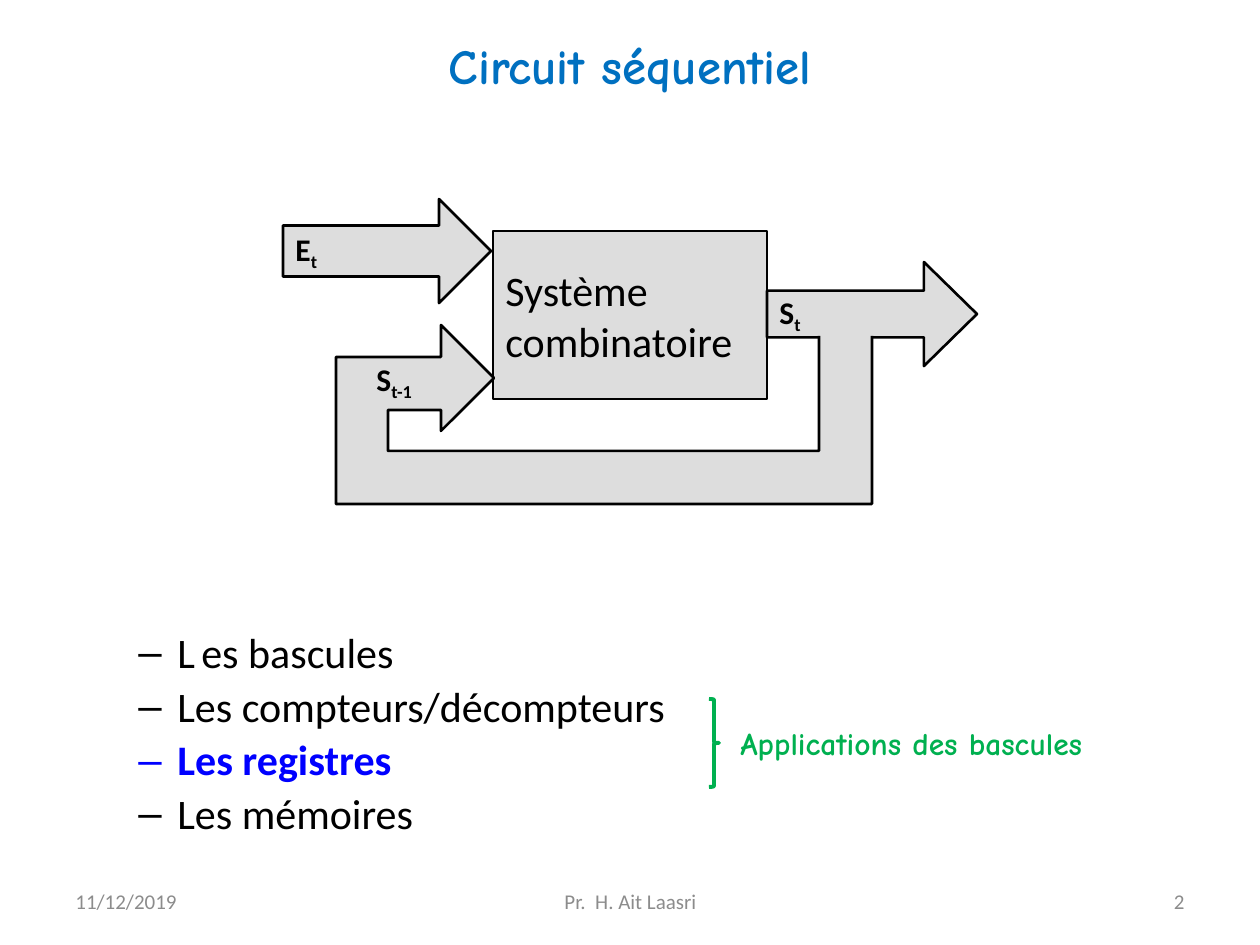
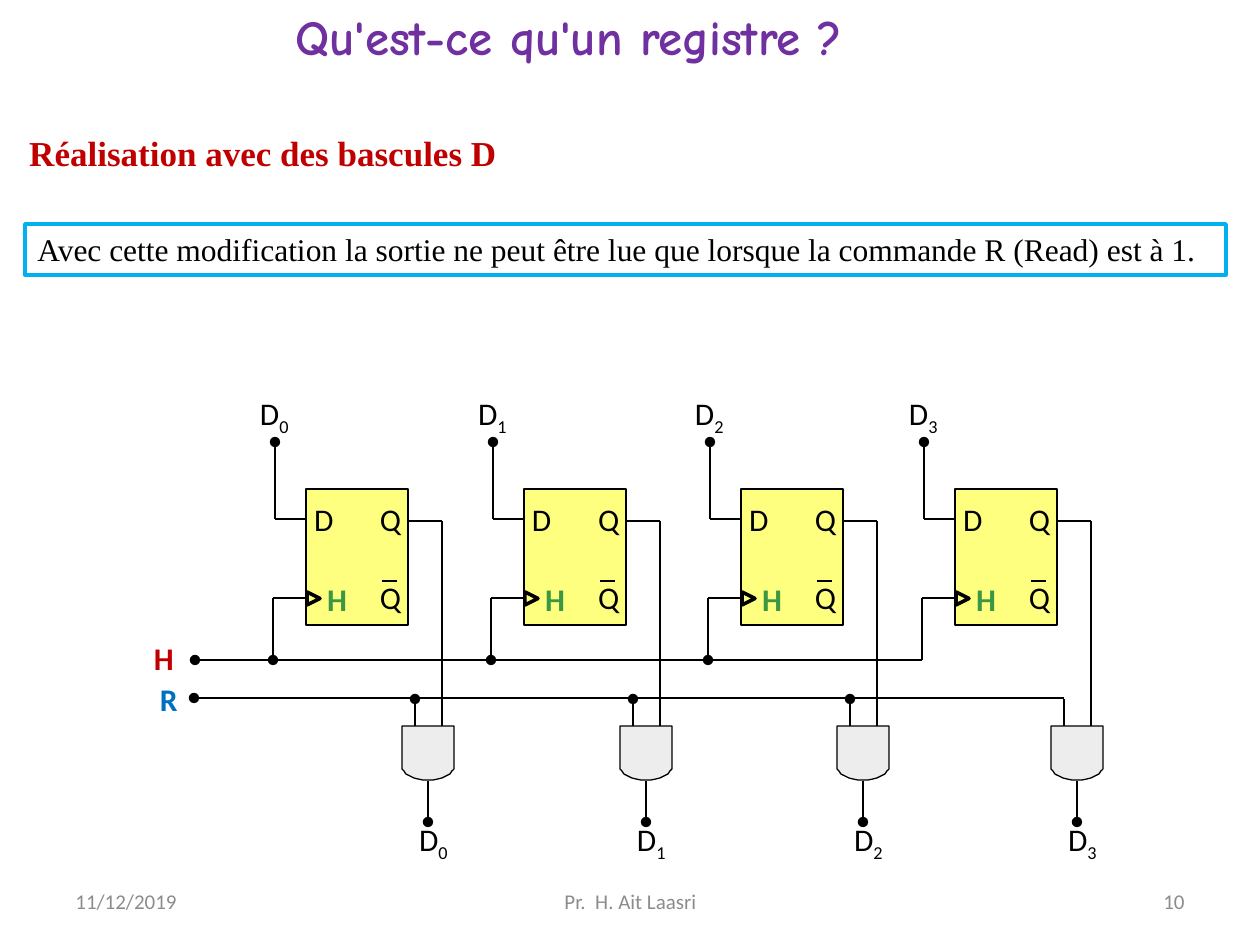
import math
from lxml import etree
from pptx import Presentation, util as u
from pptx.dml.color import RGBColor
from pptx.enum import shapes, text
from pptx.oxml import ns

SCALE = 7257.14
BLACK, GREY, GREEN, RED, BLUE = "000000", "DDDDDD", "00B050", "C00000", "0070C0"
PALE, LEAF, YELLOW, MUTED = "FFFFFF", "3B9744", "FFFF00", "8C8C8C"
COMIC, TIMES = "Comic Neue", "Times New Roman"
KIND, ALIGN, ANCHOR = shapes.MSO_SHAPE, text.PP_ALIGN, text.MSO_ANCHOR
hue = RGBColor.from_string


def write(slide, box, words, size, tint=BLACK, font="Calibri", bold=False, sub="",
          align=ALIGN.LEFT, anchor=ANCHOR.MIDDLE, pad=None, wrap=True, item=None):
    if item is None:
        item = slide.shapes.add_textbox(0, 0, 0, 0)
    item.left, item.top, item.width, item.height = [round(n * SCALE) for n in box]
    frame = item.text_frame
    frame.text = words
    frame.word_wrap = wrap
    frame.vertical_anchor = anchor
    if pad is not None:
        frame.margin_left = frame.margin_right = frame.margin_top = frame.margin_bottom = pad
    if sub:
        low = frame.paragraphs[0].add_run()
        low.text = sub
        low.font._element.set("baseline", "-25000")
    for para in frame.paragraphs:
        para.alignment = align
        for run in para.runs:
            run.font.size = u.Pt(size)
            run.font.name = font
            run.font.bold = bold
            run.font.color.rgb = hue(tint)
    return item


def wire(slide, start, end, dot=False, width=0.75):
    ends = [round(n * SCALE) for n in start + end]
    line = slide.shapes.add_connector(shapes.MSO_CONNECTOR.STRAIGHT, *ends)
    line.line.color.rgb = hue(BLACK)
    line.line.width = u.Pt(width)
    props = line.element.spPr
    if dot:
        etree.SubElement(props.find(ns.qn("a:ln")), ns.qn("a:tailEnd"), type="oval")
    etree.SubElement(props, ns.qn("a:effectLst"))


deck = Presentation()
deck.slide_width, deck.slide_height = u.Inches(10), u.Inches(7.5)
forms = []

pages = [
    ("Circuit séquentiel", (63, -14, 1134, 157), BLUE, ALIGN.CENTER, ANCHOR.MIDDLE, True, "2"),
    ("Qu'est-ce qu'un registre ?", (283, 0, 682, 72), "7030A0", ALIGN.LEFT, ANCHOR.TOP, False, "10"),
]
for title, box, tint, align, anchor, wrap, number in pages:
    slide = deck.slides.add_slide(deck.slide_layouts[5])
    write(slide, box, title, 28, tint, COMIC, True, align=align, anchor=anchor,
          wrap=wrap, item=slide.shapes.title)
    for left, width, words, side in [
        (63, 294, "11/12/2019", ALIGN.LEFT),
        (903, 294, number, ALIGN.RIGHT),
        (431, 399, "Pr.  H. Ait Laasri", ALIGN.CENTER),
    ]:
        write(slide, (left, 876, width, 50), words, 12, MUTED, align=side)
first, second = deck.slides

system = first.shapes.add_shape(KIND.RECTANGLE, 0, 0, 0, 0)
write(first, (493, 231, 274, 168), "Système\ncombinatoire", 24, wrap=False, item=system)
forms.append((system, GREY, BLACK, 1.5, False))
for box, name, bends in [
    ((283, 199, 208, 104), "E", (0.49, 0.5)),
    ((767, 262, 210, 104), "S", (0.45, 0.51)),
]:
    arrow = first.shapes.add_shape(KIND.RIGHT_ARROW, 0, 0, 0, 0)
    arrow.adjustments[0], arrow.adjustments[1] = bends
    write(first, box, name, 18, bold=True, sub="t", wrap=False, item=arrow)
    forms.append((arrow, GREY, BLACK, 1.5, False))

track = first.shapes.build_freeform(819, 336, SCALE)
track.add_line_segments([
    (819, 451), (388, 451), (388, 410), (441, 410), (441, 431), (494, 378),
    (441, 325), (441, 357), (336, 357), (336, 504), (872, 504), (872, 336),
], close=False)
forms.append((track.convert_to_shape(), GREY, BLACK, 1.5, False))
write(first, (364, 354, 80, 54), "S", 18, bold=True, sub="t-1")

topics = write(first, (63, 626, 1134, 235),
               "L\tes bascules\nLes compteurs/décompteurs\nLes registres\nLes mémoires",
               24, anchor=ANCHOR.TOP)
for para in topics.text_frame.paragraphs:
    para.line_spacing = 0.9
    para.space_before = u.Pt(4.8)
    props = para._p.get_or_add_pPr()
    props.set("marL", str(u.Inches(0.81)))
    props.set("indent", str(u.Inches(-0.31)))
    etree.SubElement(props, ns.qn("a:buFont"), typeface="Arial")
    etree.SubElement(props, ns.qn("a:buChar"), char="–")
key = topics.text_frame.paragraphs[2].runs[0].font
key.bold = True
key.color.rgb = hue("0000FF")

brace = first.shapes.add_shape(
    KIND.RIGHT_BRACE, *[round(n * SCALE) for n in (709, 699, 10, 88)])
forms.append((brace, None, GREEN, 2.25, False))
write(first, (728, 718, 413, 50), "Applications des bascules", 18, GREEN, COMIC, True,
      anchor=ANCHOR.TOP, wrap=False)

write(second, (15, 125, 496, 55), "Réalisation avec des bascules D", 20, RED, TIMES, True,
      align=ALIGN.CENTER, anchor=ANCHOR.TOP, wrap=False)
note = second.shapes.add_shape(KIND.RECTANGLE, 0, 0, 0, 0)
write(second, (25, 224, 1201, 51),
      "Avec cette modification la sortie ne peut être lue que lorsque la commande R (Read) est à 1.",
      18, font=TIMES, anchor=ANCHOR.TOP, item=note)
forms.append((note, PALE, "00B0F0", 2, False))

wire(second, (922, 660), (195, 660), True)
wire(second, (1064, 698), (194, 698), True)
write(second, (154, 639, 26, 38), "H", 18, RED, bold=True, anchor=ANCHOR.TOP, pad=0)
write(second, (160, 680, 23, 38), "R", 18, BLUE, bold=True, anchor=ANCHOR.TOP, pad=0)

for index, x in enumerate((306, 524, 741, 955)):
    inner = index < 3
    cell = second.shapes.add_shape(
        KIND.RECTANGLE, *[round(n * SCALE) for n in (x, 489, 102, 136)])
    forms.append((cell, YELLOW, BLACK, 0.75, True))
    for dx, y, name, tint in [
        (8, 500, "D", BLACK), (74, 500, "Q", BLACK),
        (74, 578, "Q", BLACK), (21, 580, "H", LEAF),
    ]:
        write(second, (x + dx, y, 17, 38), name, 18, tint, bold=name == "H", pad=0)
    for dx, y in [(-46, 397), (113, 823)]:
        write(second, (x + dx, y, 54, 38), "D", 18, sub=str(index), pad=0)

    wire(second, (x + 76, 581), (x + 91, 581), width=1.5)
    wire(second, (x - 31, 519), (x, 519), width=1)
    wire(second, (x - 31, 519), (x - 31, 442), True)
    wire(second, (x - 33, 598), (x, 598))
    wire(second, (x - 33, 598), (x - 33, 660), inner)
    wire(second, (x + 102, 521), (x + 136, 521))
    wire(second, (x + 136, 521), (x + 136, 726))
    wire(second, (x + 109, 726), (x + 109, 699), inner)
    wire(second, (x + 122, 781), (x + 122, 822), True)

    gate = second.shapes.build_freeform(x + 96, 726, SCALE)
    arc = [math.pi * step / 16 for step in range(17)]
    gate.add_line_segments(
        [(x + 148, 726)]
        + [(x + 122 + 26 * math.cos(a), 766 + 14 * math.sin(a)) for a in arc])
    forms.append((gate.convert_to_shape(), GREY, BLACK, 0.75, True))

    clock = second.shapes.add_shape(
        KIND.FLOWCHART_EXTRACT, *[round(n * SCALE) for n in (x + 1, 592, 13, 13)])
    clock.rotation = 90
    forms.append((clock, None, BLACK, 2, False))

for form, fill, edge, width, sheer in forms:
    form.shadow.inherit = False
    form.line.color.rgb = hue(edge)
    form.line.width = u.Pt(width)
    if fill is None:
        form.fill.background()
    else:
        form.fill.solid()
        form.fill.fore_color.rgb = hue(fill)
    if sheer:
        paint = form.element.spPr.find(ns.qn("a:solidFill"))[0]
        etree.SubElement(paint, ns.qn("a:alpha"), val="50000")

deck.save("out.pptx")
